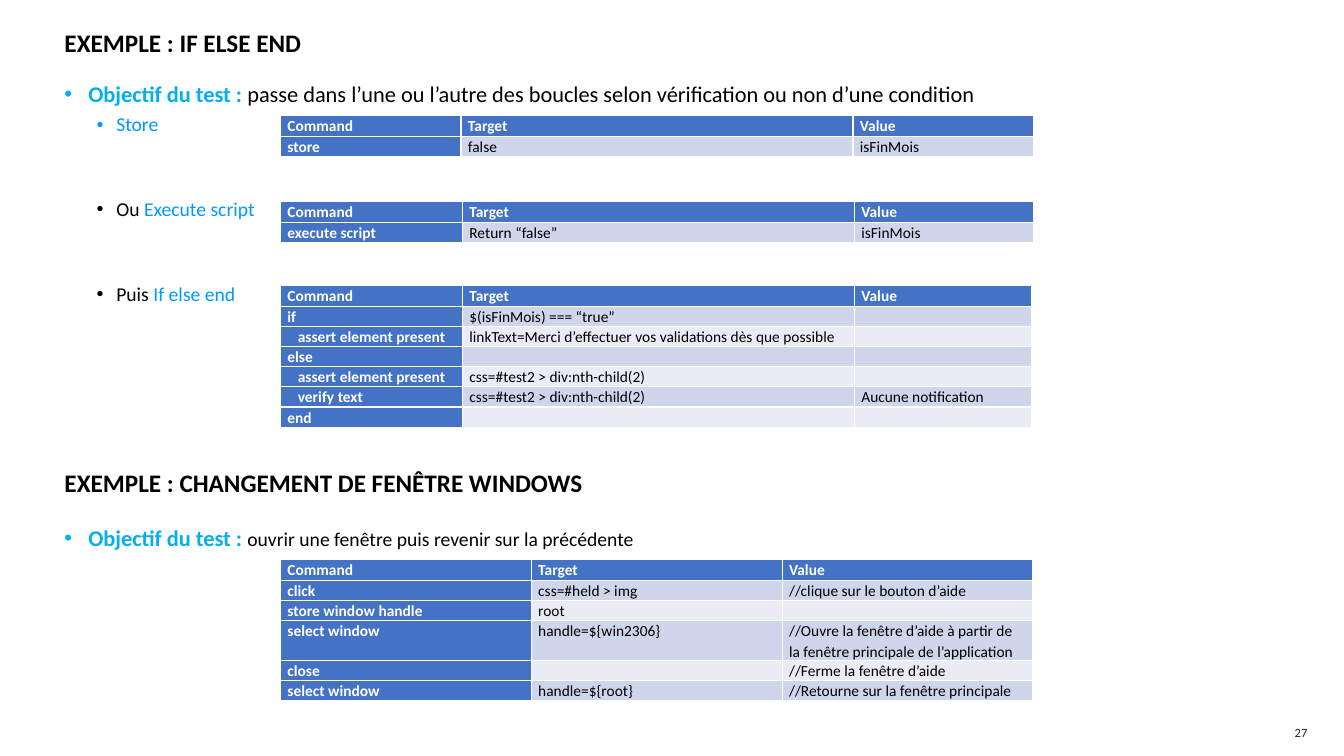
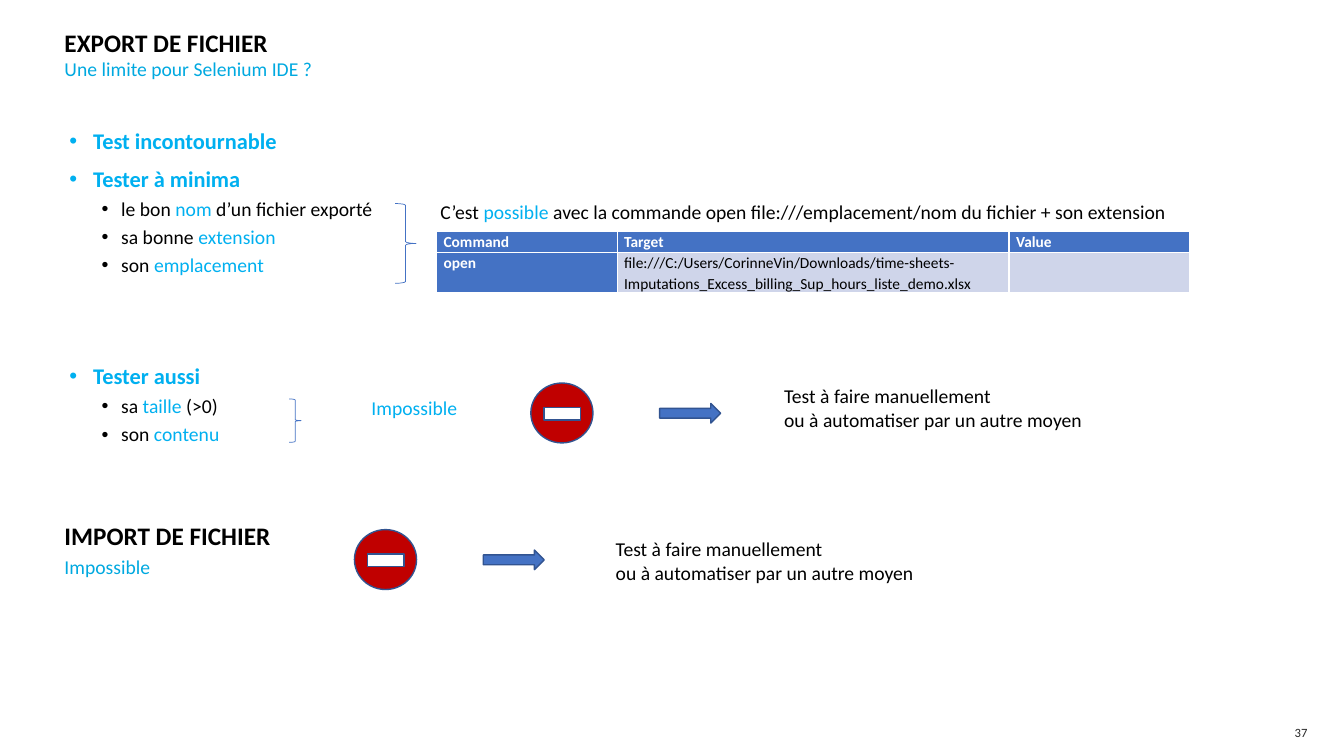
"""Build two slides about browser test scripts: conditions, windows and file transfer."""
from dataclasses import dataclass
from typing import Optional

from lxml import etree
from pptx import Presentation
from pptx import util as u
from pptx.dml.color import RGBColor
from pptx.enum import shapes, text
from pptx.oxml.ns import qn

FONT = "Calibri"
COLORS = {
    "black": "000000", "white": "FFFFFF", "cyan": "00B0F0", "azure": "0099FF",
    "subtitle": "00A9E0", "page": "262626", "blue": "4472C4", "outline": "325491",
    "band_dark": "CFD5EA", "band_light": "E9EBF5", "red": "C00000",
}
HEADER = ("Command", "Target", "Value")
HEADER_HEIGHT, ROW_HEIGHT = 15, 14.4
TITLE_LEFT, TITLE_WIDTH = 39, 861
MANUAL_TEST = ("Test à faire manuellement", "ou à automatiser par un autre moyen")


@dataclass(frozen=True)
class Span:
    text: str
    color: str = "black"
    size: float = 14
    bold: bool = False


@dataclass(frozen=True)
class Para:
    spans: tuple[Span, ...]
    level: Optional[int] = None


@dataclass(frozen=True)
class Place:
    left: float
    top: float
    width: float
    height: float

    def points(self) -> tuple:
        return tuple(u.Pt(n) for n in (self.left, self.top, self.width, self.height))


@dataclass(frozen=True)
class Grid:
    left: float
    top: float
    widths: tuple[float, ...]
    rows: tuple[tuple[str, str, str], ...]


def rgb(name: str) -> RGBColor:
    return RGBColor.from_string(COLORS[name])


def style_run(run, span: Span) -> None:
    run.font.name = FONT
    run.font.size = u.Pt(span.size)
    run.font.bold = span.bold
    run.font.color.rgb = rgb(span.color)


def add_bullet(paragraph, level: int) -> None:
    properties = paragraph._p.get_or_add_pPr()
    indent, hanging = ((17, 17), (37, 14))[level]
    properties.set("marL", str(u.Pt(indent)))
    properties.set("indent", str(-u.Pt(hanging)))
    etree.SubElement(properties, qn("a:buFont"), typeface="Arial")
    etree.SubElement(properties, qn("a:buChar"), char="•")
    paragraph.level = level
    paragraph.line_spacing = 0.9


def add_text(slide, place: Place, paras: list[Para], anchor=text.MSO_ANCHOR.TOP,
             align=text.PP_ALIGN.LEFT, top_inset: float = 3.6, bottom_inset: float = 3.6) -> None:
    frame = slide.shapes.add_textbox(*place.points()).text_frame
    frame.word_wrap = True
    frame.vertical_anchor = anchor
    frame.margin_top, frame.margin_bottom = u.Pt(top_inset), u.Pt(bottom_inset)
    for index, para in enumerate(paras):
        paragraph = frame.add_paragraph() if index else frame.paragraphs[0]
        paragraph.alignment = align
        if para.level is not None:
            add_bullet(paragraph, para.level)
            if index:
                paragraph.space_before = u.Pt((10, 5)[para.level])
        for span in para.spans:
            run = paragraph.add_run()
            run.text = span.text
            style_run(run, span)


def add_title(slide, top: float, title: str) -> None:
    add_text(slide, Place(TITLE_LEFT, top, TITLE_WIDTH, 33),
             [Para((Span(title, size=18, bold=True),))],
             anchor=text.MSO_ANCHOR.BOTTOM, bottom_inset=0)


def add_subtitle(slide, top: float, subtitle: str) -> None:
    add_text(slide, Place(TITLE_LEFT, top, TITLE_WIDTH, 34.5),
             [Para((Span(subtitle, "subtitle"),))], top_inset=0)


def add_page_number(slide, number: int) -> None:
    add_text(slide, Place(882, 515.5, 59, 16), [Para((Span(str(number), "page", 9),))],
             anchor=text.MSO_ANCHOR.MIDDLE, align=text.PP_ALIGN.RIGHT)


def fill_cell(cell, content: str, fill: str, strong: bool) -> None:
    cell.fill.solid()
    cell.fill.fore_color.rgb = rgb(fill)
    cell.margin_left = cell.margin_right = u.Pt(5)
    cell.margin_top = cell.margin_bottom = 0
    paragraph = cell.text_frame.paragraphs[0]
    paragraph.line_spacing = 1.07
    if not content:
        etree.SubElement(paragraph._p, qn("a:endParaRPr"), sz="1100")
        return
    paragraph.text = content
    style_run(paragraph.runs[0], Span(content, "white" if strong else "black", 11, strong))


def add_grid(slide, grid: Grid) -> None:
    rows = (HEADER, *grid.rows)
    height = HEADER_HEIGHT + ROW_HEIGHT * len(grid.rows)
    place = Place(grid.left, grid.top, sum(grid.widths), height)
    table = slide.shapes.add_table(len(rows), len(HEADER), *place.points()).table
    table.first_col = True
    for column, width in zip(table.columns, grid.widths):
        column.width = u.Pt(width)
    for r, row in enumerate(rows):
        table.rows[r].height = u.Pt(ROW_HEIGHT if r else HEADER_HEIGHT)
        for c, content in enumerate(row):
            strong = r == 0 or c == 0
            band = "band_dark" if r % 2 else "band_light"
            fill_cell(table.cell(r, c), content, "blue" if strong else band, strong)


def add_figure(parent, kind, place: Place, fill: Optional[str],
               line: str = "outline", weight: float = 1) -> None:
    figure = parent.shapes.add_shape(kind, *place.points())
    figure.shadow.inherit = False
    if fill:
        figure.fill.solid()
        figure.fill.fore_color.rgb = rgb(fill)
    else:
        figure.fill.background()
    figure.line.color.rgb = rgb(line)
    figure.line.width = u.Pt(weight)


def add_brace(slide, place: Place) -> None:
    add_figure(slide, shapes.MSO_SHAPE.RIGHT_BRACE, place, None, "blue", 0.5)


def add_manual_route(slide, left: float, top: float, text_left: float, text_top: float) -> None:
    sign = slide.shapes.add_group_shape()
    add_figure(sign, shapes.MSO_SHAPE.OVAL, Place(left, top, 44.4, 42.8), "red")
    add_figure(sign, shapes.MSO_SHAPE.RECTANGLE, Place(left + 9.4, top + 17.4, 26, 9), "white")
    add_figure(slide, shapes.MSO_SHAPE.RIGHT_ARROW, Place(left + 92, top + 14.6, 43.5, 14), "blue")
    add_text(slide, Place(text_left, text_top, 331, 41),
             [Para((Span(line),)) for line in MANUAL_TEST])


def goal(detail: Span) -> Para:
    return Para((Span("Objectif du test : ", "cyan", 16, True), detail), 0)


def heading(label: str) -> Para:
    return Para((Span(label, "cyan", 16, True),), 0)


def item(before: str, key: str, after: str = "", color: str = "cyan") -> Para:
    spans = (Span(before), Span(key, color), Span(after))
    return Para(tuple(span for span in spans if span.text), 1)


def build_conditions(slide) -> None:
    add_title(slide, 8, "EXEMPLE : IF ELSE END")
    add_text(slide, Place(39, 56.2, 712, 50), [
        goal(Span("passe dans l’une ou l’autre des boucles selon vérification "
                  "ou non d’une condition", size=16)),
        item("", "Store", color="azure")])
    for top, before, key in ((138.7, "Ou ", "Execute script"), (199.4, "Puis ", "If else end")):
        add_text(slide, Place(39, top, 160, 24), [item(before, key, color="azure")])
    add_title(slide, 322.6, "EXEMPLE : CHANGEMENT DE FENÊTRE WINDOWS")
    add_text(slide, Place(39, 373, 712, 26),
             [goal(Span("ouvrir une fenêtre puis revenir sur la précédente"))])
    grids = (
        Grid(200.3, 82.6, (129, 280, 129), (("store", "false", "isFinMois"),)),
        Grid(200.3, 144, (130, 280, 128), (("execute script", "Return “false”", "isFinMois"),)),
        Grid(200.3, 203.7, (130, 280, 126.5), (
            ("if", "$(isFinMois) === “true”", ""),
            ("   assert element present",
             "linkText=Merci d’effectuer vos validations dès que possible", ""),
            ("else", "", ""),
            ("   assert element present", "css=#test2 > div:nth-child(2)", ""),
            ("   verify text", "css=#test2 > div:nth-child(2)", "Aucune notification"),
            ("end", "", ""))),
        Grid(200.3, 399.6, (179.2,) * 3, (
            ("click", "css=#held > img", "//clique sur le bouton d’aide"),
            ("store window handle", "root", ""),
            ("select window", "handle=${win2306}",
             "//Ouvre la fenêtre d’aide à partir de la fenêtre principale de l’application"),
            ("close", "", "//Ferme la fenêtre d’aide"),
            ("select window", "handle=${root}", "//Retourne sur la fenêtre principale"))),
    )
    for grid in grids:
        add_grid(slide, grid)
    add_page_number(slide, 27)


def build_files(slide) -> None:
    add_title(slide, 8, "EXPORT DE FICHIER")
    add_subtitle(slide, 40.5, "Une limite pour Selenium IDE ?")
    add_text(slide, Place(42.5, 89.3, 245, 120), [
        heading("Test incontournable"), heading("Tester à minima"),
        item("le bon ", "nom", " d’un fichier exporté"),
        item("sa bonne ", "extension"), item("son ", "emplacement")])
    add_text(slide, Place(42.5, 257.6, 160, 66), [
        heading("Tester aussi"), item("sa ", "taille", " (>0)"), item("son ", "contenu")])
    add_text(slide, Place(258.3, 279, 80, 24), [Para((Span("Impossible", "cyan"),))])
    add_text(slide, Place(307.5, 139, 582, 24.5), [Para((
        Span("C’est "), Span("possible", "cyan"),
        Span(" avec la commande open file:///emplacement/nom du fichier + son extension")))])
    add_grid(slide, Grid(311.8, 165.6, (129, 280, 129), ((
        "open",
        "file:///C:/Users/CorinneVin/Downloads/time-sheets-"
        "Imputations_Excess_billing_Sup_hours_liste_demo.xlsx", ""),)))
    add_brace(slide, Place(282.2, 145.4, 15, 57))
    add_brace(slide, Place(206.6, 285, 8.6, 31))
    add_manual_route(slide, 379.2, 273.6, 553, 270.7)
    add_title(slide, 360, "IMPORT DE FICHIER")
    add_subtitle(slide, 396.7, "Impossible")
    add_manual_route(slide, 253.2, 378.3, 432.7, 380.2)
    add_page_number(slide, 37)


def main() -> None:
    deck = Presentation()
    deck.slide_width, deck.slide_height = u.Pt(960), u.Pt(540)
    for build in (build_conditions, build_files):
        build(deck.slides.add_slide(deck.slide_layouts[6]))
    deck.save("out.pptx")


if __name__ == "__main__":
    main()
